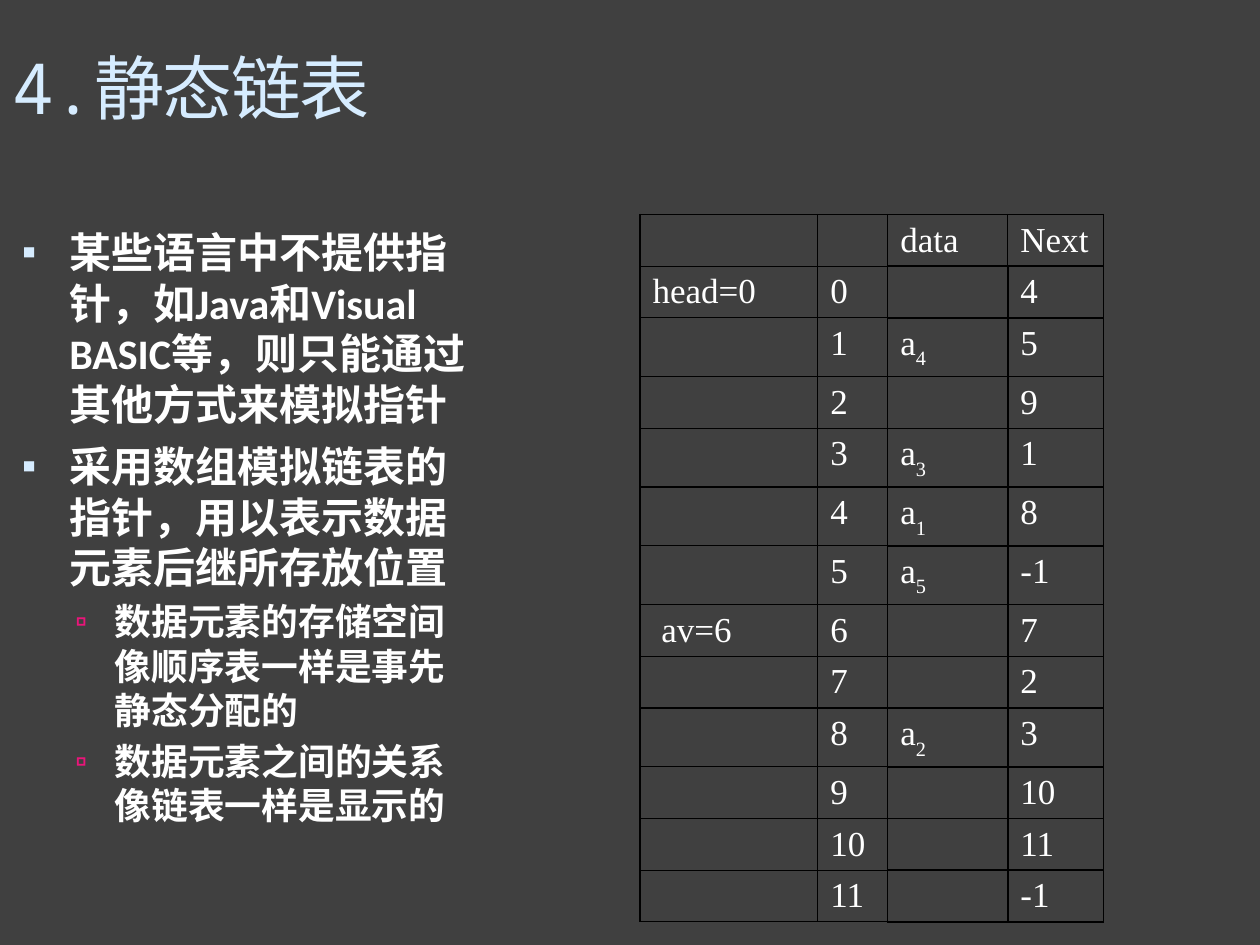
from lxml import etree
from pptx import Presentation
from pptx.dml import color
from pptx.enum import text
from pptx.oxml import ns
from pptx.util import Pt


def rgb(code):
    return color.RGBColor.from_string(code)


def add(parent, tag, **attrs):
    node = etree.SubElement(parent, ns.qn(tag))
    for key, val in attrs.items():
        node.set(key, str(val))
    return node


class Deck:
    back, white, pale, pink, black = "404040", "FFFFFF", "D6ECFF", "EA157A", "000000"
    sans, mono, serif = "Calibri", "Noto Sans Mono", "Times New Roman"
    levels = [(32.4, -27, "▪", pale, 95, 24, 7), (58.3, -22.5, "▫", pink, 90, 21, 4.2)]

    def __init__(self, wide, high):
        self.prs = Presentation()
        self.prs.slide_width, self.prs.slide_height = Pt(wide), Pt(high)
        self.slide = self.prs.slides.add_slide(self.prs.slide_layouts[1])
        fill = self.slide.background.fill
        fill.solid()
        fill.fore_color.rgb = rgb(self.back)

    def place(self, shape, box):
        shape.left, shape.top, shape.width, shape.height = map(Pt, box)
        frame = shape.text_frame
        frame.word_wrap = True
        frame.auto_size = text.MSO_AUTO_SIZE.NONE
        frame.vertical_anchor = text.MSO_ANCHOR.TOP
        return frame

    def indent(self, para, left, hang):
        props = para._p.get_or_add_pPr()
        props.set("marL", str(Pt(left)))
        props.set("indent", str(Pt(hang)))
        para.alignment = text.PP_ALIGN.LEFT
        return props

    def run(self, para, words, size, face, tint, bold=False):
        run = para.add_run()
        run.text = words
        font = run.font
        font.size, font.name, font.bold = Pt(size), face, bold
        font.color.rgb = rgb(tint)
        return run._r.get_or_add_rPr()

    def title(self, words, box):
        para = self.place(self.slide.shapes.title, box).paragraphs[0]
        self.indent(para, 48, -48)
        self.run(para, words, 40, self.mono, self.pale).set("spc", "-100")

    def body(self, items, box):
        frame = self.place(self.slide.placeholders[1], box)
        for i, (level, words) in enumerate(items):
            para = frame.add_paragraph() if i else frame.paragraphs[0]
            left, hang, mark, tint, scale, size, gap = self.levels[level]
            para.level = level
            props = self.indent(para, left, hang)
            add(add(props, "a:buClr"), "a:srgbClr", val=tint)
            add(props, "a:buSzPct", val=scale * 1000)
            add(props, "a:buFont", typeface=self.sans)
            add(props, "a:buChar", char=mark)
            para.space_before = Pt(gap if i else 0)
            self.run(para, words, size, self.sans, self.white, True)

    def edge(self, cell, row, col):
        props = cell._tc.get_or_add_tcPr()
        thin = row == 0 or col < 2
        for side in "LRTB":
            bold = (not thin or (row and col == 1 and side == "R")
                    or (row == 0 and col > 1 and side == "B"))
            line = add(props, "a:ln" + side, w=Pt(1 if bold else 0.75))
            add(add(line, "a:solidFill"), "a:srgbClr", val=self.black)

    def table(self, rows, cols, left, top, high):
        shape = self.slide.shapes.add_table(
            len(rows), len(cols), Pt(left), Pt(top), Pt(sum(cols)), Pt(high * len(rows)))
        grid = shape.table
        grid.first_row = grid.horz_banding = False
        for col, wide in zip(grid.columns, cols):
            col.width = Pt(wide)
        for r, row in enumerate(rows):
            grid.rows[r].height = Pt(high)
            for c, words in enumerate(row):
                cell = grid.cell(r, c)
                self.edge(cell, r, c)
                cell.fill.background()
                if not words:
                    continue
                para = cell.text_frame.paragraphs[0]
                self.indent(para, 27, -27)
                base, _, sub = words.partition("_")
                self.run(para, base, 20, self.serif, self.white)
                if sub:
                    low = self.run(para, sub, 20, self.serif, self.white)
                    low.set("baseline", "-30000")

    def save(self):
        self.prs.save("out.pptx")


def main():
    deck = Deck(720, 540)
    deck.title("4.静态链表", (0, 21.6, 648, 90))
    deck.body([
        (0, "某些语言中不提供指针，如Java和Visual BASIC等，则只能通过其他方式来模拟指针"),
        (0, "采用数组模拟链表的指针，用以表示数据元素后继所存放位置"),
        (1, "数据元素的存储空间像顺序表一样是事先静态分配的"),
        (1, "数据元素之间的关系像链表一样是显示的"),
    ], (0, 126, 280, 356.4))

    heads = {0: "head=0", 6: " av=6"}
    data = {1: "a_4", 3: "a_3", 4: "a_1", 5: "a_5", 8: "a_2"}
    links = [4, 5, 9, 1, 8, -1, 7, 2, 3, 10, 11, -1]
    rows = [("", "", "data", "Next")]
    rows += [(heads.get(i, ""), str(i), data.get(i, ""), str(link))
             for i, link in enumerate(links)]
    deck.table(rows, (101.6, 40, 68.6, 54.8), 365.7, 122.5, 29.55)
    deck.save()


if __name__ == "__main__":
    main()
